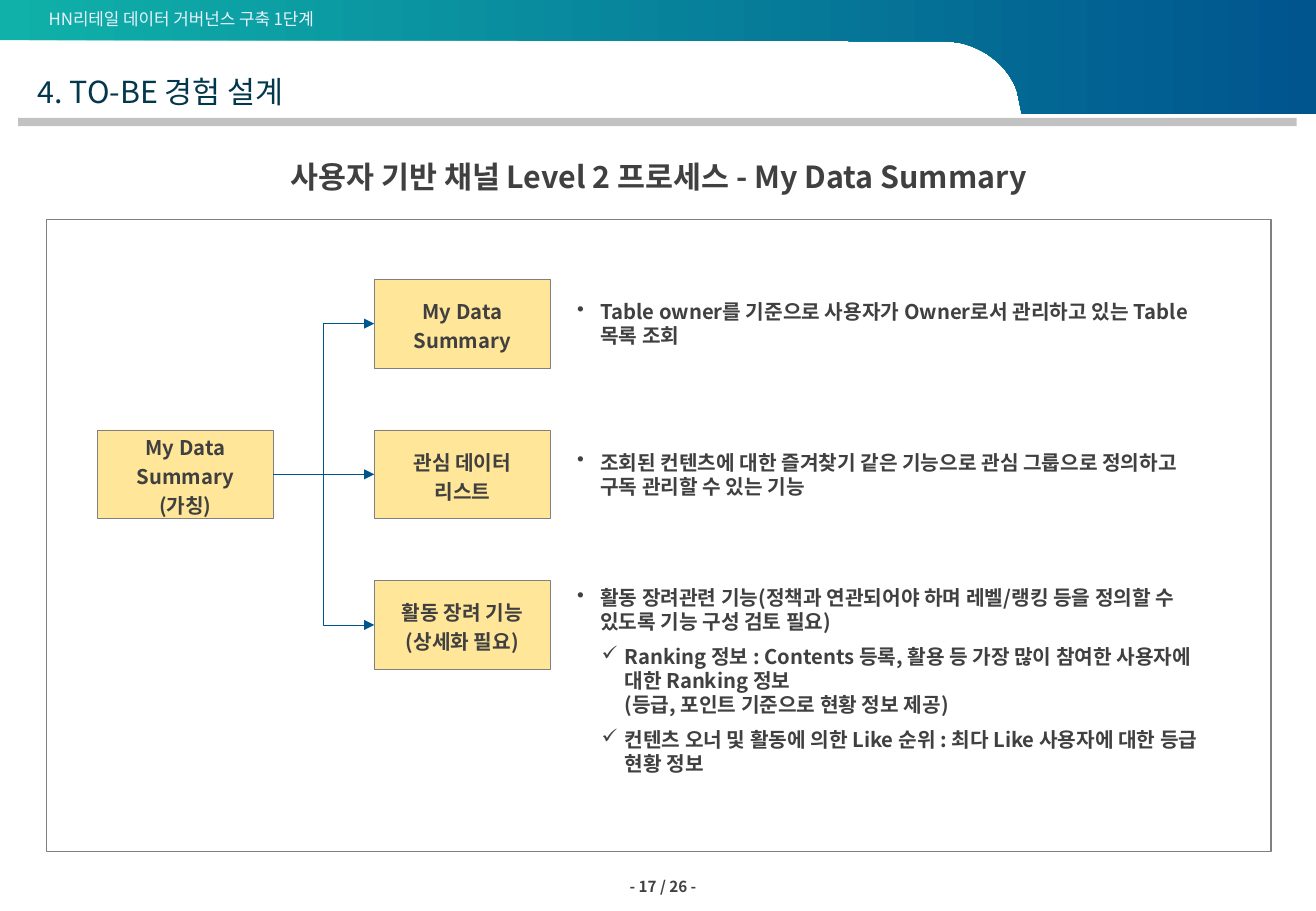
from lxml.etree import SubElement
from pptx import Presentation
from pptx.dml.color import RGBColor
from pptx.enum.shapes import MSO_CONNECTOR, MSO_SHAPE
from pptx.enum.text import MSO_ANCHOR as ANCHOR, MSO_AUTO_SIZE, PP_ALIGN as ALIGN
from pptx.oxml.ns import qn
from pptx.util import Inches, Pt

W, H = 10.83, 7.5
FONT = "Noto Sans CJK KR"
COLORS = {
    "teal": "0FB1A9", "blue": "00558E", "pale": "EAF3FC", "rule": "C2C2C2",
    "title": "03374D", "text": "404040", "border": "808080", "node": "FFE699",
}
ROOT = "My Data Summary\v(가칭)"
BRANCHES = [
    ("My Data Summary",
     ["Table owner를 기준으로 사용자가 Owner로서 관리하고 있는 Table 목록 조회"]),
    ("관심 데이터 리스트",
     ["조회된 컨텐츠에 대한 즐겨찾기 같은 기능으로 관심 그룹으로 정의하고 구독 관리할 수 있는 기능"]),
    ("활동 장려 기능\v(상세화 필요)",
     ["활동 장려관련 기능(정책과 연관되어야 하며 레벨/랭킹 등을 정의할 수 있도록 기능 구성 검토 필요)",
      "Ranking 정보 : Contents 등록, 활용 등 가장 많이 참여한 사용자에 대한 Ranking 정보"
      "\v(등급, 포인트 기준으로 현황 정보 제공)",
      "컨텐츠 오너 및 활동에 의한 Like 순위 : 최다 Like 사용자에 대한 등급 현황 정보"]),
]


def rgb(name):
    return RGBColor.from_string(COLORS[name])


def inches(*values):
    return [Inches(v) for v in values]


def style(p, size, color, bold=False, align=ALIGN.LEFT):
    p.alignment = align
    for r in p.runs:
        r.font.size, r.font.bold, r.font.name = Pt(size), bold, FONT
        r.font.color.rgb = rgb(color)
        SubElement(r.font._element, qn("a:ea")).set("typeface", FONT)


def frame(sp, anchor, insets=(0.08, 0.04)):
    tf = sp.text_frame
    tf.word_wrap, tf.auto_size, tf.vertical_anchor = True, MSO_AUTO_SIZE.NONE, anchor
    tf.margin_left = tf.margin_right = Inches(insets[0])
    tf.margin_top = tf.margin_bottom = Inches(insets[1])
    return tf


def add_text(s, box, text, size, color, bold=False, align=ALIGN.LEFT, insets=(0.08, 0.04)):
    tf = frame(s.shapes.add_textbox(*inches(*box)), ANCHOR.MIDDLE, insets)
    tf.text = text
    style(tf.paragraphs[0], size, color, bold, align)


def add_rect(s, box, fill=None, line=None, width=0.5):
    sp = s.shapes.add_shape(MSO_SHAPE.RECTANGLE, *inches(*box))
    sp.shadow.inherit = False
    if fill:
        sp.fill.solid()
        sp.fill.fore_color.rgb = rgb(fill)
    else:
        sp.fill.background()
    if line:
        sp.line.color.rgb, sp.line.width = rgb(line), Pt(width)
    else:
        sp.line.fill.background()
    return sp


def bezier(points, steps=16):
    for i in range(1, steps + 1):
        t = i / steps
        weights = ((1 - t) ** 3, 3 * t * (1 - t) ** 2, 3 * t ** 2 * (1 - t), t ** 3)
        yield tuple(sum(k * pt[axis] for k, pt in zip(weights, points)) for axis in (0, 1))


def add_banner(s, box):
    x, y, w, h = box
    curve = bezier([(8.37, 0.75), (8.3, 0.55), (8.12, 0.4), (7.89, 0.35)])
    outline = [(w, 0), (w, h), (8.41, h), (8.37, 0.75), *curve,
               (7.79, 0.34), (3.46, 0.33), (0, 0.33)]
    builder = s.shapes.build_freeform(Inches(x), Inches(y), scale=1.0)
    builder.add_line_segments([inches(x + px, y + py) for px, py in outline])
    sp = builder.convert_to_shape()
    sp.shadow.inherit = False
    sp.line.fill.background()
    sp.fill.gradient()
    sp.fill.gradient_angle = 0
    for stop, color in zip(sp.fill.gradient_stops, ("teal", "blue")):
        stop.color.rgb = rgb(color)
    add_text(s, (x + 0.4, y + 0.07, 3.22, 0.17), "HN리테일 데이터 거버넌스 구축 1단계",
             10, "pale", insets=(0, 0))


def add_title(s, box):
    x, y, w, h = box
    sp = s.shapes.title
    sp.left, sp.top, sp.width, sp.height = inches(x + 0.16, y, 7.78, 0.3)
    tf = frame(sp, ANCHOR.TOP, (0, 0))
    tf.text = "4. TO-BE 경험 설계"
    style(tf.paragraphs[0], 18, "title")
    add_rect(s, (x, y + h - 0.07, w, 0.07), "rule")


def add_node(s, box, text):
    sp = add_rect(s, box, "node", "border")
    tf = frame(sp, ANCHOR.MIDDLE)
    tf.text = text
    p = tf.paragraphs[0]
    p.line_spacing = 1.2
    style(p, 12, "text", True, ALIGN.CENTER)
    return sp


def add_notes(s, box, notes):
    anchor = ANCHOR.TOP if len(notes) > 1 else ANCHOR.MIDDLE
    tf = frame(s.shapes.add_textbox(*inches(*box)), anchor)
    tf.text = "\n".join(notes)
    for i, p in enumerate(tf.paragraphs):
        level = min(i, 1)
        pPr = p._p.get_or_add_pPr()
        pPr.set("marL", str(Inches(0.19 + 0.2 * level)))
        pPr.set("indent", str(Inches(-0.19)))
        SubElement(pPr, qn("a:buChar")).set("char", "•✓"[level])
        p.level = level
        if i:
            p.space_before = Pt(6)
        style(p, 12, "text", True)


def add_arrow(s, start, end):
    c = s.shapes.add_connector(MSO_CONNECTOR.ELBOW, 0, 0, 0, 0)
    c.begin_connect(start, 3)
    c.end_connect(end, 1)
    c.line.color.rgb, c.line.width = rgb("blue"), Pt(0.5)
    SubElement(c.line._get_or_add_ln(), qn("a:tailEnd")).set("type", "triangle")
    SubElement(c._element.spPr, qn("a:effectLst"))


def add_process(s, box):
    x, y, w, h = box
    node_w, node_h, pitch = 1.45, 0.73, 1.24
    first_y = y + 0.49
    add_rect(s, box, line="border", width=0.75)
    root = add_node(s, (x + 0.42, first_y + pitch, node_w, node_h), ROOT)
    for i, (name, notes) in enumerate(BRANCHES):
        row_y = first_y + i * pitch
        node = add_node(s, (x + 2.7, row_y, node_w, node_h), name)
        notes_h = 1.66 if len(notes) > 1 else node_h
        add_notes(s, (x + 4.29, row_y, 5.41, notes_h), notes)
        add_arrow(s, root, node)


def main():
    prs = Presentation()
    prs.slide_width, prs.slide_height = inches(W, H)
    s = prs.slides.add_slide(prs.slide_layouts[5])
    add_banner(s, (0, 0, W, 0.94))
    add_title(s, (0.15, 0.6, 10.52, 0.44))
    add_text(s, (0.38, 1.26, 10.08, 0.38), "사용자 기반 채널 Level 2 프로세스 - My Data Summary",
             18, "text", True, ALIGN.CENTER)
    add_process(s, (0.38, 1.81, 10.08, 5.2))
    add_text(s, (5, 7.18, 0.81, 0.23), "- 17 / 26 -", 9, "text", True, ALIGN.RIGHT)
    prs.save("out.pptx")


if __name__ == "__main__":
    main()
